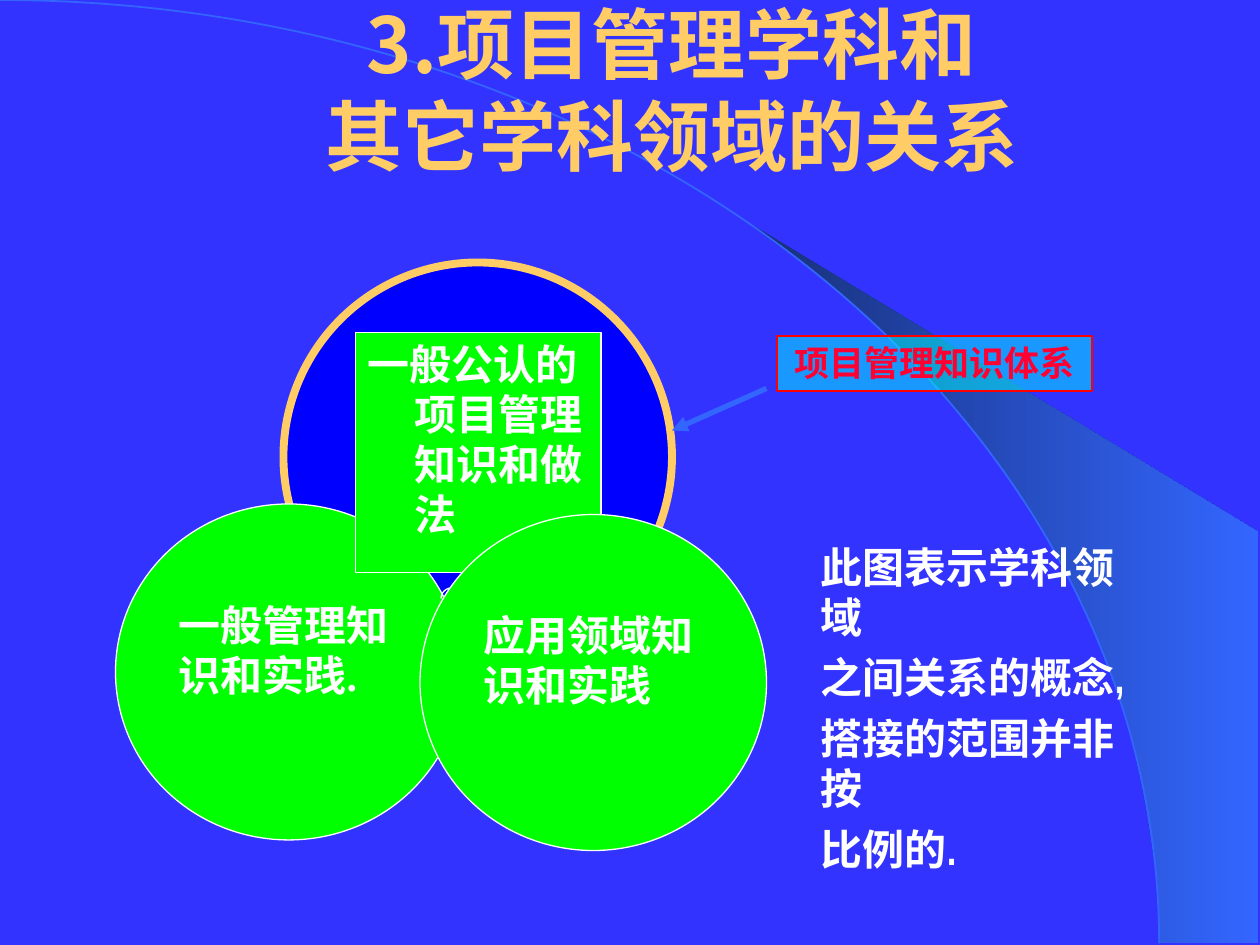
import math
from lxml import etree
from pptx import Presentation, util as u
from pptx.dml.color import RGBColor
from pptx.enum import shapes, text
from pptx.oxml.ns import qn

COLORS = {
    "back": "3333FF", "sky": "3366FF", "navy": "172F75", "blue": "0000FF",
    "gold": "FFCC66", "green": "00FF00", "white": "FFFFFF",
    "cyan": "00FFFF", "red": "FF0000", "crimson": "FF0033",
}
LEFT, CENTER = text.PP_ALIGN.LEFT, text.PP_ALIGN.CENTER
LINE_RATIO = 1.19


class Sketch:
    def __init__(self, page):
        self.page = page
        self.body_font = "Times New Roman"
        self.body_size = 24

    def color(self, name):
        return RGBColor.from_string(COLORS[name])

    def background(self, name):
        fill = self.page.background.fill
        fill.solid()
        fill.fore_color.rgb = self.color(name)

    def outline(self, item, name, width):
        item.line.color.rgb = self.color(name)
        item.line.width = u.Pt(width)

    def shape(self, kind, place, fill, line, width, alpha=None):
        item = self.page.shapes.add_shape(kind, *map(u.Pt, place))
        item.shadow.inherit = False
        if fill:
            item.fill.solid()
            item.fill.fore_color.rgb = self.color(fill)
        else:
            item.fill.background()
        if alpha:
            tint = item._element.spPr.find(qn("a:solidFill"))[0]
            etree.SubElement(tint, qn("a:alpha"), val=str(alpha * 1000))
        self.outline(item, line, width)
        return item

    def arc(self, place, line, width, start, end):
        item = self.shape(shapes.MSO_SHAPE.ARC, place, None, line, width)
        for index, degrees in enumerate((start, end)):
            item.adjustments[index] = degrees * 0.6

    def wedge(self, points, dark, light):
        builder = self.page.shapes.build_freeform(*points[0], scale=float(u.Pt(1)))
        builder.add_line_segments(points[1:], close=True)
        item = builder.convert_to_shape()
        item.shadow.inherit = False
        item.line.fill.background()
        item.fill.gradient()
        item.fill.gradient_angle = 0
        for stop, name in zip(item.fill.gradient_stops, (dark, light)):
            stop.color.rgb = self.color(name)

    def arrow(self, start, end, name, width):
        item = self.page.shapes.add_connector(
            shapes.MSO_CONNECTOR.STRAIGHT, *map(u.Pt, start + end))
        self.outline(item, name, width)
        properties = item._element.spPr
        etree.SubElement(properties.find(qn("a:ln")), qn("a:tailEnd"), type="triangle")
        etree.SubElement(properties, qn("a:effectLst"))

    def text_box(self, place):
        return self.page.shapes.add_textbox(*map(u.Pt, place))

    def add_text(self, box, paragraphs, font=None, size=None, color="white",
                 align=LEFT, anchor=text.MSO_ANCHOR.TOP, top=3.6, gap=0,
                 hanging=0, wrap=True):
        size = size or self.body_size
        frame = box.text_frame
        frame.word_wrap = wrap
        frame.vertical_anchor = anchor
        frame.margin_left = frame.margin_right = u.Pt(7.2)
        frame.margin_top, frame.margin_bottom = u.Pt(top), u.Pt(3.6)
        for index, lines in enumerate(paragraphs):
            para = frame.add_paragraph() if index else frame.paragraphs[0]
            para.alignment = align
            para.line_spacing = u.Pt(round(size * LINE_RATIO, 1))
            if index:
                para.space_before = u.Pt(gap)
            if hanging:
                settings = para._p.get_or_add_pPr()
                settings.set("marL", str(u.Pt(hanging)))
                settings.set("indent", str(-u.Pt(hanging)))
            for number, words in enumerate(lines.split("\n")):
                if number:
                    para.add_line_break()
                span = para.add_run()
                span.text = words
                span.font.name = font or self.body_font
                span.font.size = u.Pt(size)
                span.font.bold = True
                span.font.color.rgb = self.color(color)
                span._r.get_or_add_rPr().set("lang", "zh-CN")


def main():
    deck = Presentation()
    deck.slide_width, deck.slide_height = u.Pt(720), u.Pt(540)
    sketch = Sketch(deck.slides.add_slide(deck.slide_layouts[6]))
    oval, rectangle = shapes.MSO_SHAPE.OVAL, shapes.MSO_SHAPE.RECTANGLE
    sketch.background("back")

    radius_x, radius_y, tip_x, steps = 662.4, 539, 424, 24
    tip_angle = math.acos(tip_x / radius_x)
    curve = []
    for step in range(steps + 1):
        angle = tip_angle * (1 - step / steps)
        curve.append((round(radius_x * math.cos(angle), 2),
                      round(radius_y * (1 - math.sin(angle)), 2)))
    sketch.wedge(curve + [(719.3, 539), (719.3, 304.5)], "navy", "sky")
    sketch.arc((-radius_x, 0, 2 * radius_x, 2 * radius_y), "sky", 1, 270, 0)

    sketch.shape(oval, (162, 150, 222, 222), "blue", "gold", 4.5)
    title = sketch.text_box((78, 6, 612, 90))
    sketch.add_text(title, ["3.项目管理学科和\n其它学科领域的关系"], "Noto Sans CJK SC",
                    44, "gold", CENTER, text.MSO_ANCHOR.MIDDLE)

    def field(left, top, words):
        circle = sketch.shape(oval, (left, top, 198, 192), "green", "white", 0.75)
        sketch.add_text(circle, [words], top=26.6)

    field(66, 288, "一般管理知识和实践.")
    sketch.arrow((438, 222), (384, 246), "sky", 3)
    label = sketch.shape(rectangle, (444, 192, 180, 31.5), "cyan", "red", 0.75, 50)
    sketch.add_text(label, ["项目管理知识体系"], "Montserrat", 20, "crimson", CENTER)
    sketch.arc((252, 336, 12, 12), "white", 0.75, 180, 270)
    core = sketch.shape(rectangle, (203, 190, 140.5, 137), "green", "white", 0.75)
    sketch.add_text(core, ["一般公认的项目管理知识和做法"], hanging=27)
    field(240, 294, "应用领域知识和实践")

    note = sketch.text_box((462, 306, 206, 140.5))
    sketch.add_text(note, ["此图表示学科领域", "之间关系的概念,", "搭接的范围并非按", "比例的."],
                    "Arial Narrow", gap=6, wrap=False)
    deck.save("out.pptx")


if __name__ == "__main__":
    main()
